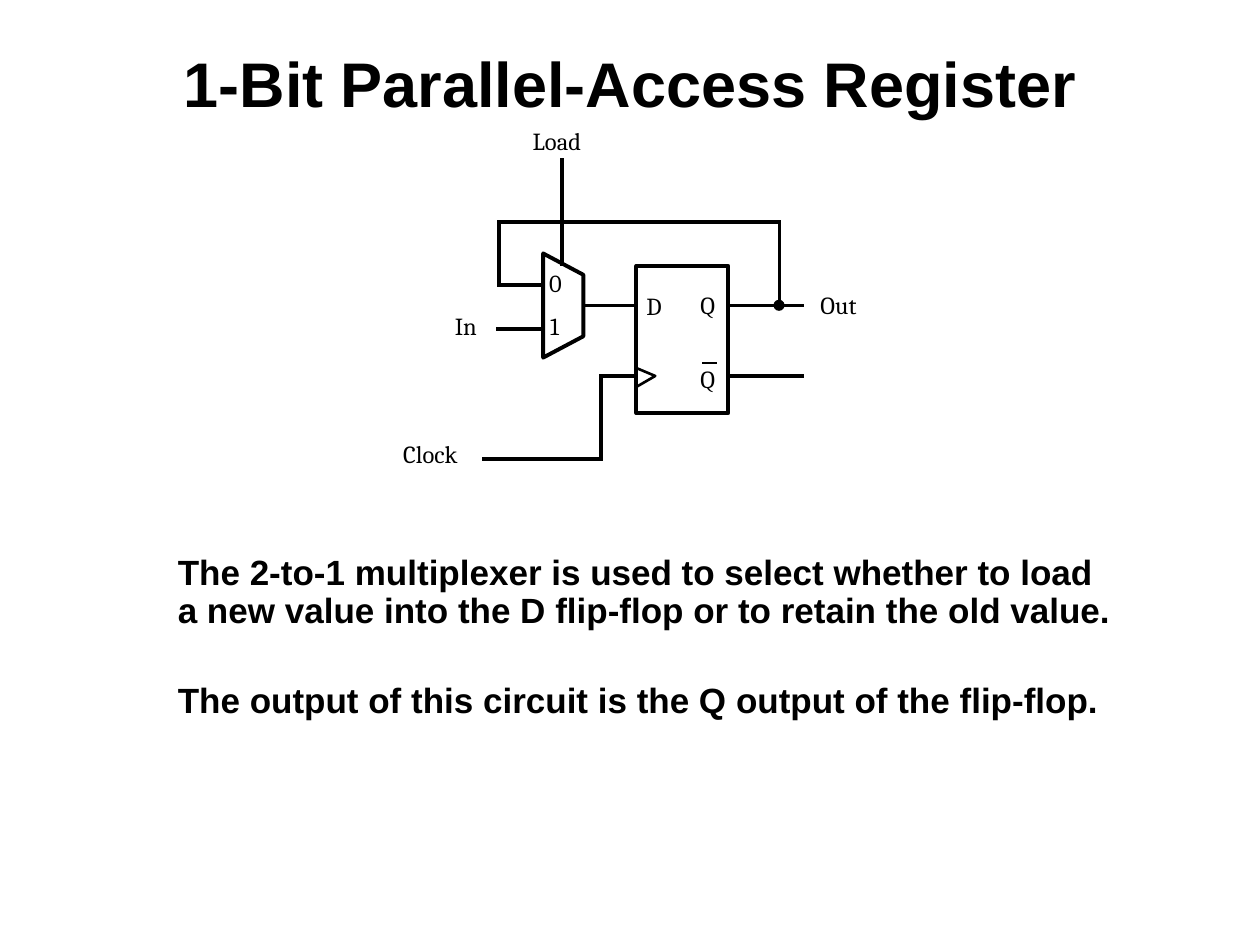
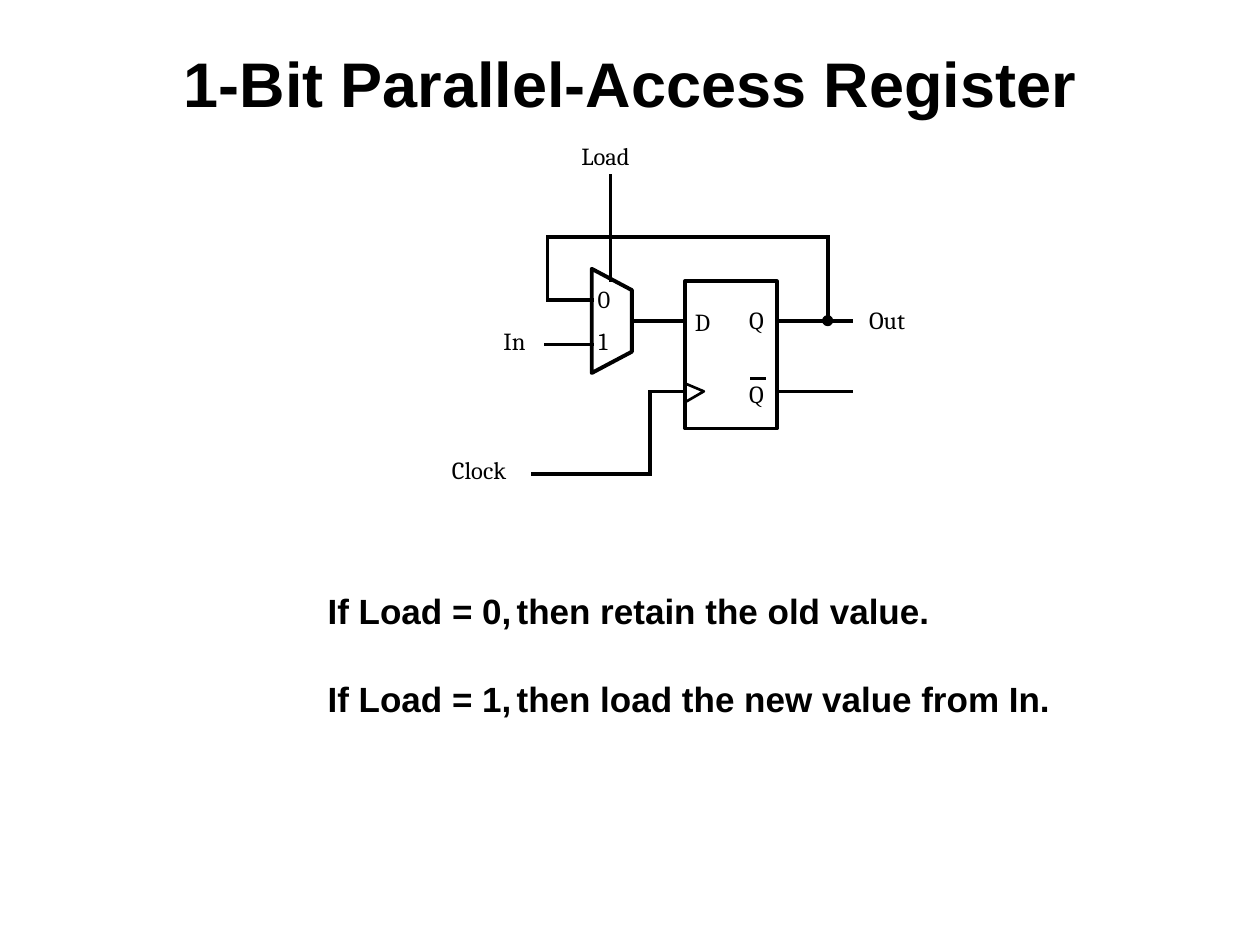
"""Build two slides that explain a 1-bit parallel-access register."""
import pptx
import pptx.dml.color
import pptx.enum.shapes
import pptx.enum.text
import pptx.oxml
import pptx.oxml.ns
import pptx.util

Cm = pptx.util.Cm
Pt = pptx.util.Pt
Shape = pptx.enum.shapes.MSO_SHAPE
Fit = pptx.enum.text.MSO_AUTO_SIZE
Align = pptx.enum.text.PP_ALIGN
TOP = pptx.enum.text.MSO_ANCHOR.TOP

HUES = {"ink": "000000", "paper": "FFFFFF"}
TITLE = "1-Bit Parallel-Access Register"

WIRES = [
    (11.33, 3.23, 11.33, 5.33),
    (10.06, 4.47, 15.71, 4.47),
    (10.06, 4.47, 10.06, 5.74),
    (10.06, 5.74, 10.95, 5.74),
    (10.03, 6.63, 10.95, 6.63),
    (11.76, 6.16, 12.83, 6.16),
    (14.68, 6.16, 16.18, 6.16),
    (15.71, 4.47, 15.71, 6.16),
    (14.68, 7.58, 16.18, 7.58),
    (9.75, 9.25, 12.12, 9.25),
    (12.12, 7.58, 12.12, 9.25),
    (12.12, 7.58, 12.83, 7.58),
]
LABELS = [
    ("Load", 10.74, 2.54, 1.04),
    ("In", 9.17, 6.27, 0.61),
    ("Clock", 8.13, 8.86, 1.5),
    ("Out", 16.54, 5.84, 0.74),
    ("0", 11.07, 5.41, 0.25),
    ("1", 11.09, 6.27, 0.25),
    ("D", 13.03, 5.87, 0.69),
    ("Q", 14.12, 5.84, 0.69),
    ("Q", 14.12, 7.34, 0.69),
]
MUX = [(11.76, 6.78), (11.76, 5.54), (10.95, 5.11), (10.95, 7.21)]
EDGE = [(12.83, 7.8), (13.21, 7.58), (12.83, 7.42)]


class Deck:
    """Hold the style, the current slide and the shift of its drawing."""

    def __init__(self):
        """Start an empty deck."""
        self.show = pptx.Presentation()
        self.show.slide_width = Cm(25.4)
        self.show.slide_height = Cm(19.05)
        self.slide = None
        self.dx = self.dy = 0

    def tint(self, name):
        """Return a named colour."""
        return pptx.dml.color.RGBColor.from_string(HUES[name])

    def spot(self, x, y):
        """Return a shifted point."""
        return Cm(x + self.dx), Cm(y + self.dy)

    def run(self, para, text, size, font="Arial", bold=True):
        """Add one styled run."""
        run = para.add_run()
        run.text = text
        run.font.name = font
        run.font.size = Pt(size)
        run.font.bold = bold
        run.font.color.rgb = self.tint("ink")

    def place(self, shape, x, y, w, h):
        """Move a placeholder and return its text frame."""
        shape.left, shape.top, shape.width, shape.height = map(Cm, (x, y, w, h))
        frame = shape.text_frame
        frame.auto_size = Fit.NONE
        frame.word_wrap = True
        frame.vertical_anchor = TOP
        return frame

    def page(self, dx=0, dy=0):
        """Add a slide with the shared title."""
        self.slide = self.show.slides.add_slide(self.show.slide_layouts[1])
        self.dx, self.dy = dx, dy
        frame = self.place(self.slide.shapes.title, 0, 0.64, 25.4, 1.7)
        frame.margin_top = Cm(0.25)
        para = frame.paragraphs[0]
        para.alignment = Align.CENTER
        self.run(para, TITLE, 36)

    def body(self, lines, box, gap, tab=None):
        """Fill the body with spaced, unbulleted lines."""
        frame = self.place(self.slide.placeholders[1], *box)
        for i, line in enumerate(lines):
            para = frame.add_paragraph() if i else frame.paragraphs[0]
            para.line_spacing = 0.9
            para.space_before = Pt(gap if i else 0)
            props = para._p.get_or_add_pPr()
            props.set("marL", "0")
            props.set("indent", "0")
            pptx.oxml.ns.qn("a:buNone")
            self.node(props, "buNone")
            if tab:
                stops = self.node(props, "tabLst")
                self.node(stops, "tab", pos=str(Cm(tab)), algn="l")
            self.run(para, line, 20)

    def node(self, host, tag, **attrs):
        """Append a drawing element to a host."""
        item = host.makeelement(pptx.oxml.ns.qn("a:" + tag), attrs)
        host.append(item)
        return item

    def pen(self, shape, width):
        """Set the outline of a shape."""
        shape.line.color.rgb = self.tint("ink")
        shape.line.width = Pt(width)

    def wire(self, x1, y1, x2, y2, width=2):
        """Draw a straight wire."""
        kind = pptx.enum.shapes.MSO_CONNECTOR.STRAIGHT
        line = self.slide.shapes.add_connector(
            kind, *self.spot(x1, y1), *self.spot(x2, y2))
        self.pen(line, width)
        line.line._get_or_add_ln().set("cap", "sq")
        self.node(line._element.spPr, "effectLst")

    def block(self, kind, x, y, w, h, fill, width):
        """Draw a filled preset shape."""
        shape = self.slide.shapes.add_shape(
            kind, *self.spot(x, y), Cm(w), Cm(h))
        shape.shadow.inherit = False
        shape.fill.solid()
        shape.fill.fore_color.rgb = self.tint(fill)
        self.pen(shape, width)

    def form(self, points, width, close):
        """Draw an unfilled outline."""
        spots = [self.spot(*point) for point in points]
        maker = self.slide.shapes.build_freeform(*spots[0])
        maker.add_line_segments(spots[1:], close=close)
        shape = maker.convert_to_shape()
        shape.shadow.inherit = False
        shape.fill.background()
        self.pen(shape, width)

    def label(self, text, x, y, w):
        """Write a small circuit label."""
        box = self.slide.shapes.add_textbox(*self.spot(x, y), Cm(w), Cm(0.63))
        frame = box.text_frame
        frame.margin_left = frame.margin_right = 0
        frame.margin_top = frame.margin_bottom = 0
        frame.word_wrap = False
        frame.auto_size = Fit.SHAPE_TO_FIT_TEXT
        self.run(frame.paragraphs[0], text, 14, "Cambria", False)

    def circuit(self):
        """Draw the multiplexer, the flip-flop and their wires."""
        self.block(Shape.RECTANGLE, 12.83, 5.36, 1.85, 2.97, "paper", 2.25)
        self.form(MUX, 2.25, True)
        self.form(EDGE, 1.5, False)
        for ends in WIRES:
            self.wire(*ends)
        self.block(Shape.OVAL, 15.62, 6.07, 0.17, 0.17, "ink", 1.5)
        for item in LABELS:
            self.label(*item)
        self.wire(14.17, 7.32, 14.43, 7.32, 1.5)


def main():
    """Build and save both slides."""
    deck = Deck()
    deck.page()
    deck.circuit()
    deck.body([
        "The 2-to-1 multiplexer is used to select whether to load "
        "a new value into the D flip-flop or to retain the old value.",
        "The output of this circuit is the Q output of the flip-flop.",
    ], (3.33, 11.07, 19.41, 3.73), 29.6)
    deck.page(0.98, 0.31)
    deck.circuit()
    deck.body([
        "If Load = 0,\tthen retain the old value.",
        "If Load = 1,\tthen load the new value from In.",
    ], (6.35, 11.86, 16.94, 3.38), 28.2, 4.28)
    deck.show.save("out.pptx")


if __name__ == "__main__":
    main()
